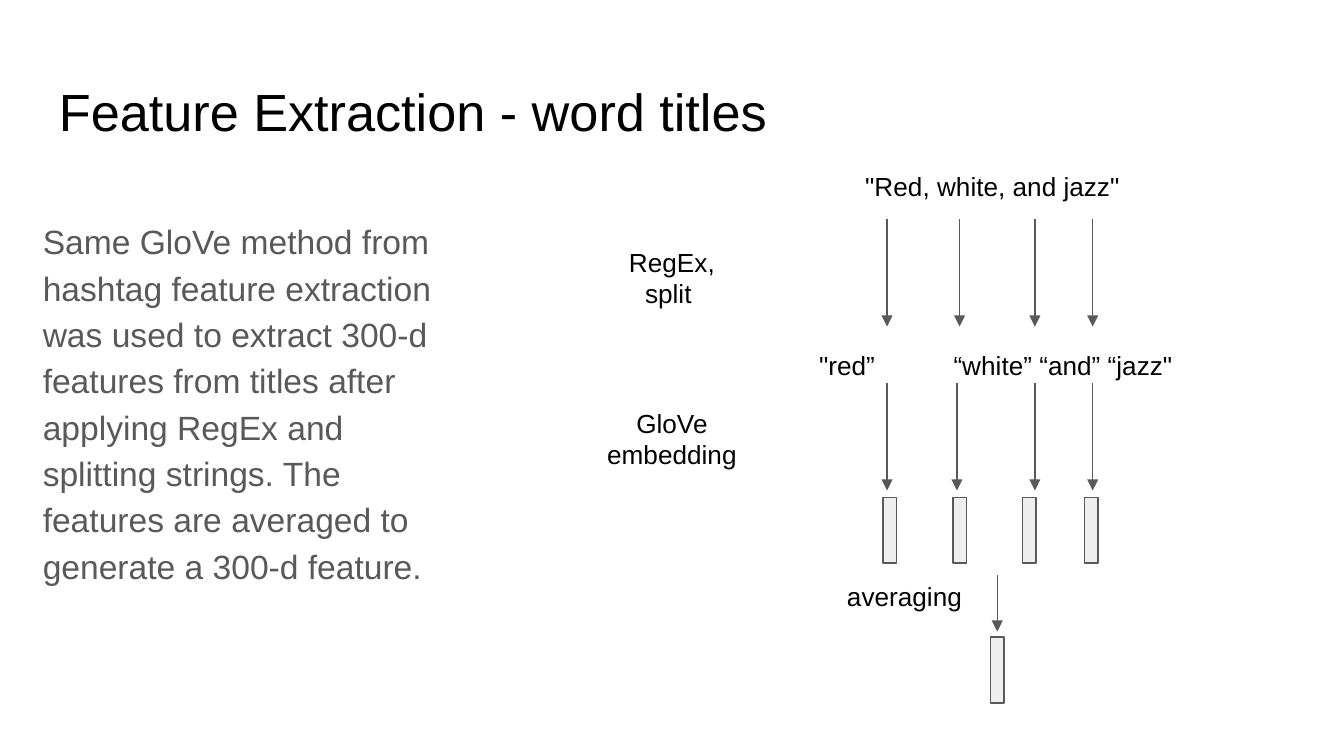
from lxml import etree
from pptx import Presentation
from pptx.dml.color import RGBColor
from pptx.enum.shapes import MSO_CONNECTOR, MSO_SHAPE
from pptx.enum.text import MSO_ANCHOR, PP_ALIGN
from pptx.oxml.ns import qn
from pptx.util import Inches, Pt

COLORS = {"title": "000000", "body": "595959", "line": "595959", "vector": "EEEEEE"}
VECTOR_W, VECTOR_H = 0.1, 0.49


def add_text(s, box, lines, color="title", size=14, para=None):
    """Add a wrapped text box with one paragraph for each line and return its frame."""
    tf = s.shapes.add_textbox(*map(Inches, box)).text_frame
    frame = {"word_wrap": True, "vertical_anchor": MSO_ANCHOR.TOP}
    frame.update({f"margin_{side}": Inches(0.1) for side in ("left", "right", "top", "bottom")})
    for key, value in frame.items():
        setattr(tf, key, value)
    for i, line in enumerate(lines):
        p = tf.add_paragraph() if i else tf.paragraphs[0]
        for key, value in (para or {}).items():
            setattr(p, key, value)
        r = p.add_run()
        r.text = line
        for key, value in {"name": "Arial", "size": Pt(size)}.items():
            setattr(r.font, key, value)
        r.font.color.rgb = RGBColor.from_string(COLORS[color])
    return tf


def add_label(s, box, *lines):
    """Add a centred diagram label and return its frame."""
    return add_text(s, box, lines, para={"alignment": PP_ALIGN.CENTER})


def set_tab(p, position):
    """Give a paragraph one left tab stop."""
    tabs = etree.SubElement(p._p.get_or_add_pPr(), qn("a:tabLst"))
    etree.SubElement(tabs, qn("a:tab"), pos=str(Inches(position)), algn="l")


def style_line(line):
    """Apply the thin grey outline."""
    line.color.rgb = RGBColor.from_string(COLORS["line"])
    line.width = Pt(0.75)


def add_arrow(s, x, y, length):
    """Add a downward arrow."""
    arrow = s.shapes.add_connector(
        MSO_CONNECTOR.STRAIGHT, Inches(x), Inches(y), Inches(x), Inches(y + length))
    style_line(arrow.line)
    etree.SubElement(arrow.line._get_or_add_ln(), qn("a:tailEnd"),
                     type="triangle", w="med", len="med")
    etree.SubElement(arrow._element.spPr, qn("a:effectLst"))


def add_vector(s, x, y):
    """Add a narrow box standing for a feature vector."""
    sp = s.shapes.add_shape(MSO_SHAPE.RECTANGLE, *map(Inches, (x, y, VECTOR_W, VECTOR_H)))
    sp.shadow.inherit = False
    sp.fill.solid()
    sp.fill.fore_color.rgb = RGBColor.from_string(COLORS["vector"])
    style_line(sp.line)


def add_pipeline(s, x, y):
    """Draw the title-to-feature diagram from its top left corner."""
    add_label(s, (x + 0.27, y, 5.51, 0.4), '"Red, white, and jazz"')
    words = add_label(s, (x + 0.27, y + 1.33, 5.56, 0.8), '"red”\t“white” “and” “jazz"')
    set_tab(words.paragraphs[0], 1)
    add_label(s, (x + 0.12, y + 0.56, 1.04, 0.38), "RegEx, split ")
    add_label(s, (x, y + 1.76, 1.28, 0.38), "GloVe", "embedding")
    add_label(s, (x + 1.83, y + 3.05, 1.08, 0.38), "averaging")
    arrow_rows = {0.46: (2.24, 2.78, 3.34, 3.77), 1.68: (2.24, 2.76, 3.34, 3.77)}
    for top, columns in arrow_rows.items():
        for dx in columns:
            add_arrow(s, x + dx, y + top, 0.8)
    for dx in (2.21, 2.73, 3.25, 3.71):
        add_vector(s, x + dx, y + 2.53)
    add_arrow(s, x + 3.06, y + 3.11, 0.42)
    add_vector(s, x + 3.06 - VECTOR_W / 2, y + 3.57)


def main():
    """Build and save the slide."""
    prs = Presentation()
    prs.slide_width, prs.slide_height = Inches(10), Inches(10 * 9 / 16)
    s = prs.slides.add_slide(prs.slide_layouts[6])
    add_text(s, (0.34, 0.49, 9.32, 0.63), ["Feature Extraction - word titles"], size=28)
    add_text(s, (0.22, 1.5, 3.3, 3.39), [
        "Same GloVe method from hashtag feature extraction was used to extract 300-d "
        "features from titles after applying RegEx and splitting strings. The features "
        "are averaged to generate a 300-d feature."],
        "body", 18, {"line_spacing": 1.15, "space_after": Pt(16)})
    add_pipeline(s, 4.36, 1.17)
    prs.save("out.pptx")


if __name__ == "__main__":
    main()
